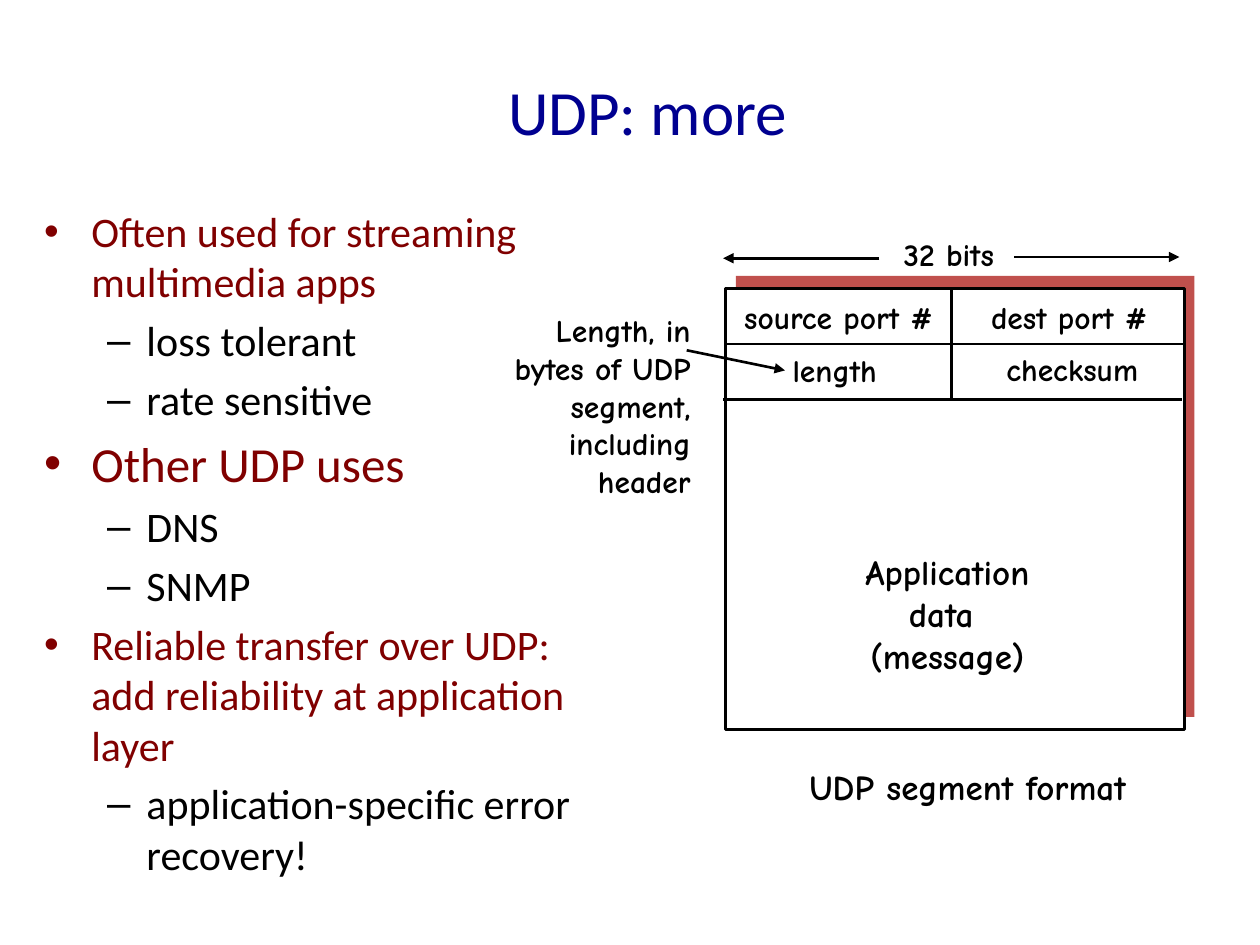
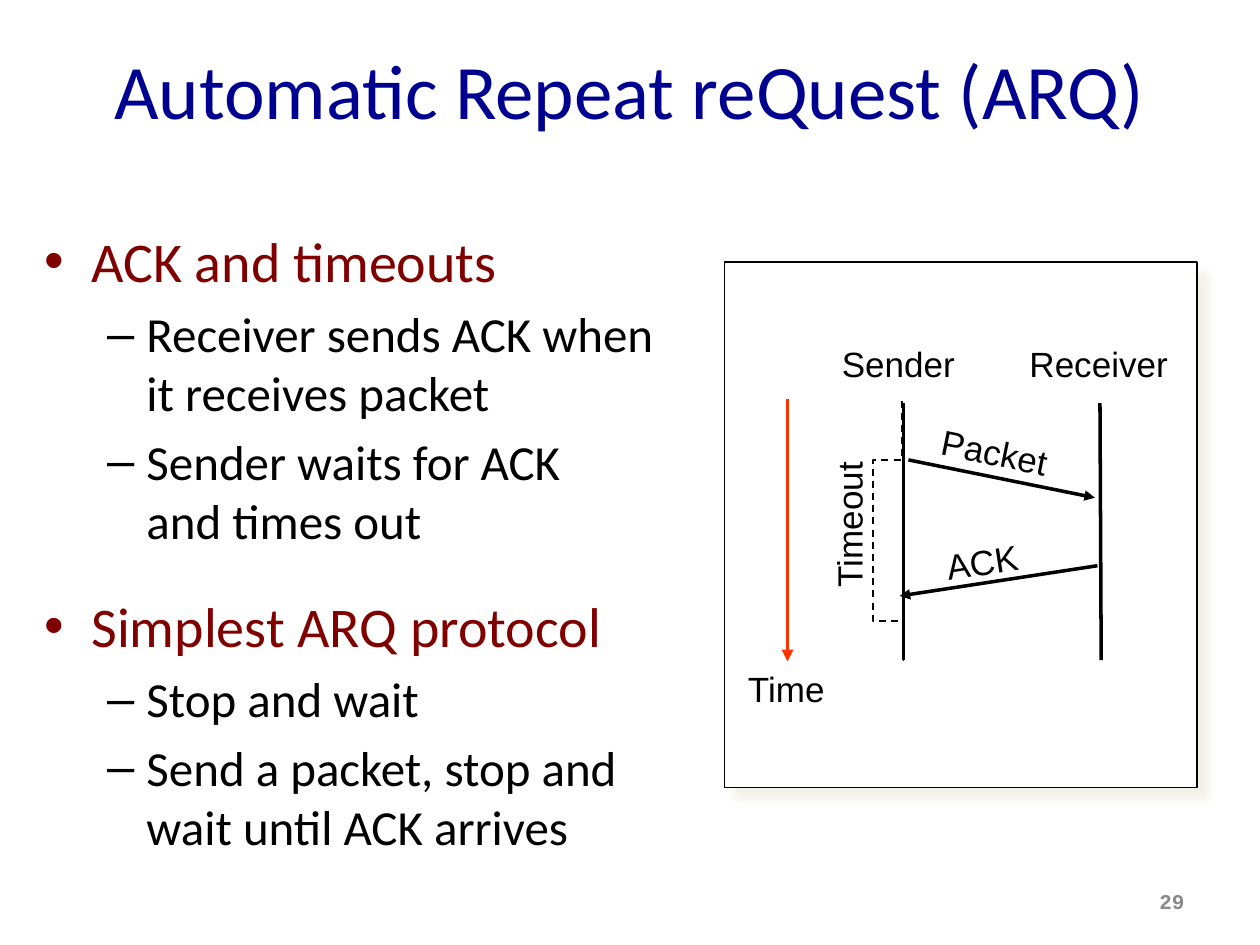
from dataclasses import dataclass

from lxml import etree
from pptx import Presentation
from pptx.dml.color import RGBColor
from pptx.enum.dml import MSO_LINE
from pptx.enum.shapes import MSO_CONNECTOR, MSO_SHAPE
from pptx.enum.text import MSO_ANCHOR, MSO_AUTO_SIZE, PP_ALIGN
from pptx.oxml.ns import qn
from pptx.util import Inches, Pt

CENTER, RIGHT = PP_ALIGN.CENTER, PP_ALIGN.RIGHT
TOP, MIDDLE = MSO_ANCHOR.TOP, MSO_ANCHOR.MIDDLE
FIXED, GROW = MSO_AUTO_SIZE.NONE, MSO_AUTO_SIZE.SHAPE_TO_FIT_TEXT
STRAIGHT, RECTANGLE, DASH = MSO_CONNECTOR.STRAIGHT, MSO_SHAPE.RECTANGLE, MSO_LINE.DASH


@dataclass(frozen=True)
class Theme:
    navy: RGBColor = RGBColor.from_string("000090")
    maroon: RGBColor = RGBColor.from_string("800000")
    black: RGBColor = RGBColor.from_string("000000")
    white: RGBColor = RGBColor.from_string("FFFFFF")
    brick: RGBColor = RGBColor.from_string("C0504D")
    orange: RGBColor = RGBColor.from_string("FF3300")
    gray: RGBColor = RGBColor.from_string("898989")
    shade: str = "EEECE1"
    text_font: str = "Calibri"
    segment_font: str = "Comic Neue"
    timeline_font: str = "Arial"
    number_font: str = "Courier New"
    field_size: int = 18
    label_size: int = 20
    number_size: int = 12


theme = Theme()


def add_label(shapes, text, box, font, size, color=theme.black, bold=False,
              align=CENTER, anchor=TOP, wrap=False, fit=GROW, rotation=0):
    label = shapes.add_textbox(*map(Inches, box))
    label.rotation = rotation
    frame = label.text_frame
    frame.text = text
    frame.word_wrap = wrap
    frame.auto_size = fit
    frame.vertical_anchor = anchor
    for paragraph in frame.paragraphs:
        paragraph.alignment = align
        for run in paragraph.runs:
            run.font.name = font
            run.font.size = Pt(size)
            run.font.bold = bold
            run.font.color.rgb = color


def add_line(shapes, ends, width, arrow=False, color=theme.black):
    connector = shapes.add_connector(STRAIGHT, *map(Inches, ends))
    connector.line.color.rgb = color
    connector.line.width = Pt(width)
    properties = connector._element.spPr
    if arrow:
        etree.SubElement(properties.find(qn("a:ln")), qn("a:tailEnd"), type="triangle")
    etree.SubElement(properties, qn("a:effectLst"))


deck = Presentation()
deck.slide_width, deck.slide_height = Inches(10), Inches(7.5)

outlines = [
    ("UDP: more", 36, (0.58, 0.25, 9.12, 1.25), (0.25, 1.58, 4.38, 5.61), [
        (0, 24, "Often used for streaming multimedia apps"),
        (1, 24, "loss tolerant"),
        (1, 24, "rate sensitive"),
        (0, 28, "Other UDP uses"),
        (1, 24, "DNS"),
        (1, 24, "SNMP"),
        (0, 24, "Reliable transfer over UDP: add reliability at application layer"),
        (1, 24, "application-specific error recovery!"),
    ]),
    ("Automatic Repeat reQuest (ARQ)", 44, (0.5, 0.08, 9, 1.25), (0.25, 1.75, 5.17, 4.95), [
        (0, 32, "ACK and timeouts"),
        (1, 28, "Receiver sends ACK when \vit receives packet"),
        (1, 28, "Sender waits for ACK \vand times out"),
        (0, 32, "Simplest ARQ protocol"),
        (1, 28, "Stop and wait"),
        (1, 28, "Send a packet, stop and wait until ACK arrives"),
    ]),
]

for heading, heading_size, heading_box, points_box, points in outlines:
    slide = deck.slides.add_slide(deck.slide_layouts[1])
    title, body = slide.shapes.title, slide.placeholders[1]
    for holder, box in ((title, heading_box), (body, points_box)):
        holder.left, holder.top, holder.width, holder.height = map(Inches, box)
        holder.text_frame.auto_size = FIXED
    title.text_frame.text = heading
    heading_font = title.text_frame.paragraphs[0].runs[0].font
    heading_font.name = theme.text_font
    heading_font.size = Pt(heading_size)
    heading_font.color.rgb = theme.navy
    body.text_frame.text = "\n".join(text.replace("\v", " ") for _, _, text in points)
    for paragraph, (level, size, text) in zip(body.text_frame.paragraphs, points):
        paragraph.text = text
        paragraph.level = level
        for run in paragraph.runs:
            run.font.name = theme.text_font
            run.font.size = Pt(size)
            run.font.color.rgb = theme.black if level else theme.maroon

udp, arq = deck.slides
arq.placeholders[1].text_frame.paragraphs[2].space_after = Pt(18)

for left, top, fill in ((5.84, 2.19, theme.brick), (5.76, 2.29, theme.white)):
    segment = udp.shapes.add_shape(RECTANGLE, *map(Inches, (left, top, 3.64, 3.5)))
    segment.shadow.inherit = False
    segment.fill.solid()
    segment.fill.fore_color.rgb = fill
    segment.line.fill.background()
segment.line.color.rgb = theme.black
segment.line.width = Pt(1.5)

for ends, arrow in [
    ((5.75, 2.73, 9.39, 2.73), False),
    ((5.74, 3.17, 9.38, 3.17), False),
    ((7.55, 2.29, 7.55, 3.17), False),
    ((8.05, 2.04, 9.36, 2.04), True),
    ((6.98, 2.05, 5.74, 2.05), True),
    ((5.45, 2.78, 6.23, 2.94), True),
]:
    add_line(udp.shapes, ends, 1.5, arrow)

for text, box, size, align in [
    ("source port #", (5.74, 2.32, 1.83, 0.4), theme.field_size, CENTER),
    ("dest port #", (7.69, 2.32, 1.59, 0.4), theme.field_size, CENTER),
    ("32 bits", (7.01, 1.82, 1.04, 0.4), theme.field_size, CENTER),
    ("length", (6.16, 2.74, 0.93, 0.4), theme.field_size, CENTER),
    ("checksum", (7.85, 2.73, 1.32, 0.4), theme.field_size, CENTER),
    ("Application\ndata \n(message)", (6.7, 4.32, 1.64, 1.1), theme.label_size, CENTER),
    ("UDP segment format", (6.23, 6.03, 2.9, 0.43), theme.label_size, CENTER),
    ("Length, in\nbytes of UDP\nsegment,\nincluding\nheader", (3.82, 2.42, 1.76, 1.6),
     theme.field_size, RIGHT),
]:
    add_label(udp.shapes, text, box, theme.segment_font, size, bold=True, align=align)

add_label(arq.shapes, "29", (7.17, 6.95, 2.33, 0.4), theme.number_font, theme.number_size,
          theme.gray, bold=True, align=RIGHT, anchor=MIDDLE, wrap=True, fit=FIXED)

timeline = arq.shapes.add_group_shape().shapes
panel = timeline.add_shape(RECTANGLE, *map(Inches, (5.75, 2.08, 3.75, 4.17)))
panel.fill.solid()
panel.fill.fore_color.rgb = theme.white
panel.line.color.rgb = theme.black
panel.line.width = Pt(0.75)
panel.shadow.inherit = False
shadow = etree.SubElement(panel._element.spPr.find(qn("a:effectLst")), qn("a:outerShdw"),
                          blurRad=str(Pt(5)), dist=str(Pt(8.5)), dir="2700000",
                          algn="ctr", rotWithShape="0")
shadow_color = etree.SubElement(shadow, qn("a:srgbClr"), val=theme.shade)
etree.SubElement(shadow_color, qn("a:alpha"), val="75000")

bracket_points = [(7.16, 3.18), (7.16, 3.65), (6.93, 3.65), (6.93, 4.93), (7.17, 4.93), (7.17, 5.25)]
bracket_start, *bracket_rest = [(Inches(x), Inches(y)) for x, y in bracket_points]
bracket_path = timeline.build_freeform(*bracket_start)
bracket_path.add_line_segments(bracket_rest, close=False)
timeout_bracket = bracket_path.convert_to_shape()
timeout_bracket.shadow.inherit = False
timeout_bracket.fill.background()
timeout_bracket.line.color.rgb = theme.black
timeout_bracket.line.width = Pt(1)
timeout_bracket.line.dash_style = DASH

for ends, width, arrow, color in [
    ((8.73, 3.2, 8.74, 5.24), 2, False, theme.black),
    ((7.17, 3.2, 7.17, 5.24), 2, False, theme.black),
    ((7.21, 3.65, 8.69, 3.95), 2, True, theme.black),
    ((8.71, 4.49, 7.14, 4.73), 2, True, theme.black),
    ((6.25, 3.17, 6.25, 5.25), 2.25, True, theme.orange),
]:
    add_line(timeline, ends, width, arrow, color)

for text, box, rotation in [
    ("Time", (5.83, 5.25, 0.82, 0.43), 0),
    ("Packet", (7.37, 3.37, 1.05, 0.43), 11.5),
    ("ACK", (7.41, 4.24, 0.77, 0.43), 351.2),
    ("Timeout", (6.07, 3.95, 1.33, 0.43), 270),
    ("Sender", (6.58, 2.67, 1.1, 0.43), 0),
    ("Receiver", (8.07, 2.67, 1.3, 0.43), 0),
]:
    add_label(timeline, text, box, theme.timeline_font, theme.label_size, anchor=MIDDLE,
              wrap=text == "Timeout", rotation=rotation)

deck.save("out.pptx")
